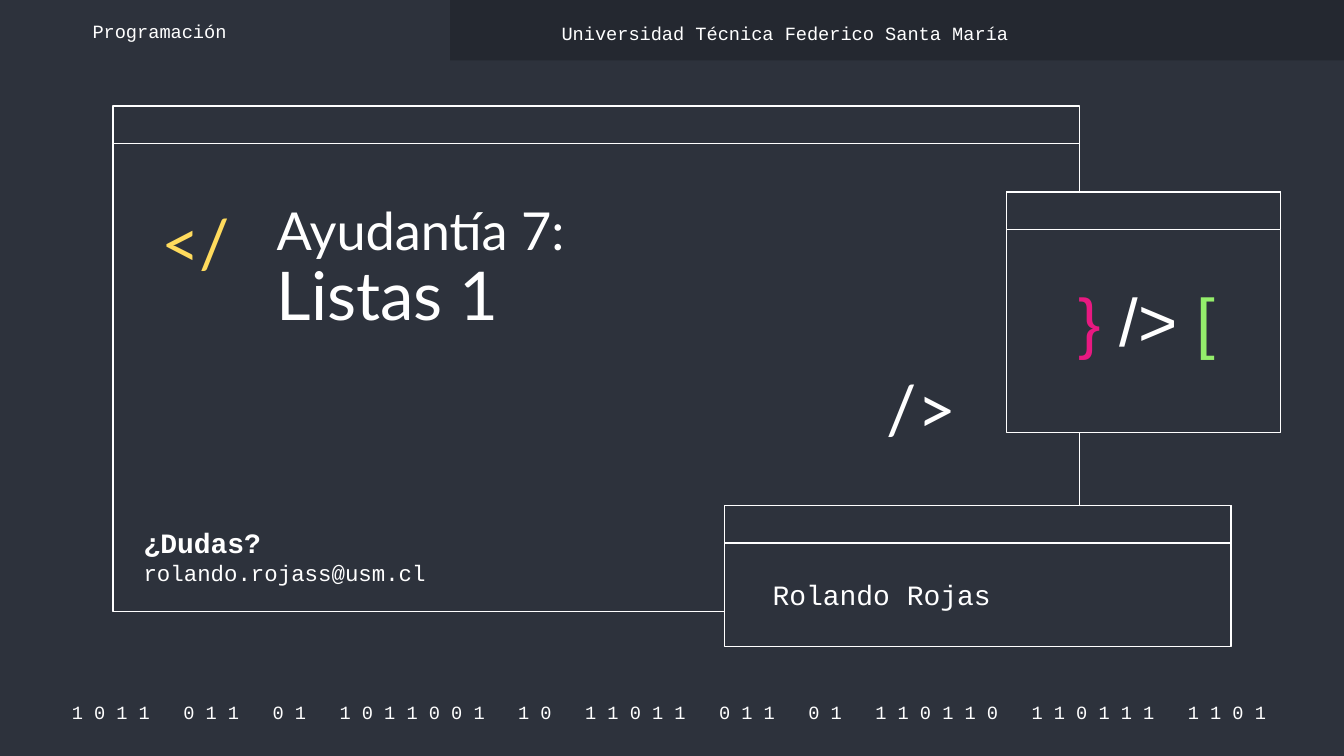
from dataclasses import dataclass

from pptx import Presentation
from pptx.dml.color import RGBColor as RGB
from pptx.enum.shapes import MSO_SHAPE as SHAPE
from pptx.enum.text import MSO_ANCHOR as ANCHOR, PP_ALIGN as ALIGN
from pptx.util import Inches, Pt


@dataclass(frozen=True)
class Theme:
    back: RGB = RGB.from_string("2D323C")
    band: RGB = RGB.from_string("242830")
    white: RGB = RGB.from_string("FFFFFF")
    yellow: RGB = RGB.from_string("FFDB5D")
    pink: RGB = RGB.from_string("E81981")
    green: RGB = RGB.from_string("94EE6B")
    code: str = "Courier New"
    heading: str = "Lato"
    symbol: str = "Arial"
    small: int = 10
    mail: int = 12
    body: int = 15
    title: int = 28
    large: int = 36


T = Theme()
BAR_HEIGHT = 0.28
BITS = "1011 011 01 1011001 10 11011 011 01 110110 110111 1101"


def add_rect(s, x, y, w, h, fill, outlined=True):
    sp = s.shapes.add_shape(SHAPE.RECTANGLE, Inches(x), Inches(y), Inches(w), Inches(h))
    sp.shadow.inherit = False
    sp.fill.solid()
    sp.fill.fore_color.rgb = fill
    if outlined:
        sp.line.color.rgb = T.white
        sp.line.width = Pt(0.75)
    else:
        sp.line.fill.background()


def add_window(s, x, y, w, h):
    for height in (h, BAR_HEIGHT):
        add_rect(s, x, y, w, height, T.back)


def add_box(s, x, y, w, h, anchor=ANCHOR.MIDDLE):
    tf = s.shapes.add_textbox(Inches(x), Inches(y), Inches(w), Inches(h)).text_frame
    tf.word_wrap = True
    tf.vertical_anchor = anchor
    tf.margin_left = tf.margin_right = tf.margin_top = tf.margin_bottom = Inches(0.1)
    return tf


def style(p, font, size, color=T.white, spacing=None, align=ALIGN.LEFT):
    p.font.name = font
    p.font.size = Pt(size)
    p.font.color.rgb = color
    p.alignment = align
    if spacing:
        p.line_spacing = spacing


def add_label(s, x, y, w, h, text, font=T.code, size=T.small, **options):
    p = add_box(s, x, y, w, h).paragraphs[0]
    p.text = text
    style(p, font, size, **options)


def add_title(s):
    p = add_box(s, 1.96, 1.43, 4.54, 1.83, ANCHOR.TOP).paragraphs[0]
    style(p, T.heading, T.large, spacing=0.9)
    r = p.add_run()
    r.text = "Ayudantía 7:"
    r.font.size = Pt(T.title)
    p.add_line_break()
    p.add_run().text = "Listas 1"


def add_symbols(s):
    p = add_box(s, 7.87, 2.05, 1.33, 0.82, ANCHOR.TOP).paragraphs[0]
    style(p, T.symbol, T.large, spacing=0.9, align=ALIGN.CENTER)
    for text, color in (("}", T.pink), (" /> ", T.white), ("[", T.green)):
        r = p.add_run()
        r.text = text
        r.font.color.rgb = color


def add_contact(s):
    tf = add_box(s, 0.97, 3.81, 3.6, 0.66, ANCHOR.TOP)
    question, mail = tf.paragraphs[0], tf.add_paragraph()
    question.text = "¿Dudas?"
    style(question, T.code, T.body)
    question.font.bold = True
    mail.text = "rolando.rojass@usm.cl"
    style(mail, T.code, T.mail)


def main():
    prs = Presentation()
    prs.slide_width = Inches(10)
    prs.slide_height = prs.slide_width * 9 // 16
    s = prs.slides.add_slide(prs.slide_layouts[6])
    s.background.fill.solid()
    s.background.fill.fore_color.rgb = T.back

    bits = "   ".join(" ".join(group) for group in BITS.split())
    add_label(s, 0.34, 5.2, 9.27, 0.2, bits, align=ALIGN.CENTER)
    add_rect(s, 3.35, 0, 6.65, 0.45, T.band, outlined=False)

    add_window(s, 0.84, 0.79, 7.19, 3.76)
    add_window(s, 5.39, 3.76, 3.77, 1.05)
    add_window(s, 7.49, 1.43, 2.04, 1.79)

    add_label(s, 1.1, 1.51, 0.77, 0.66, "</", T.heading, T.large, color=T.yellow, spacing=0.9)
    add_label(s, 6.5, 2.74, 0.77, 0.66, "/>", T.heading, T.large, spacing=0.9)
    add_symbols(s)
    add_title(s)
    add_label(s, 5.65, 4.13, 3.33, 0.58, "Rolando Rojas", size=T.body)
    add_label(s, 0.59, 0.13, 2.19, 0.2, "Programación")
    add_label(s, 4.08, 0.13, 5.45, 0.23, "Universidad Técnica Federico Santa María")
    add_contact(s)
    prs.save("out.pptx")


if __name__ == "__main__":
    main()
